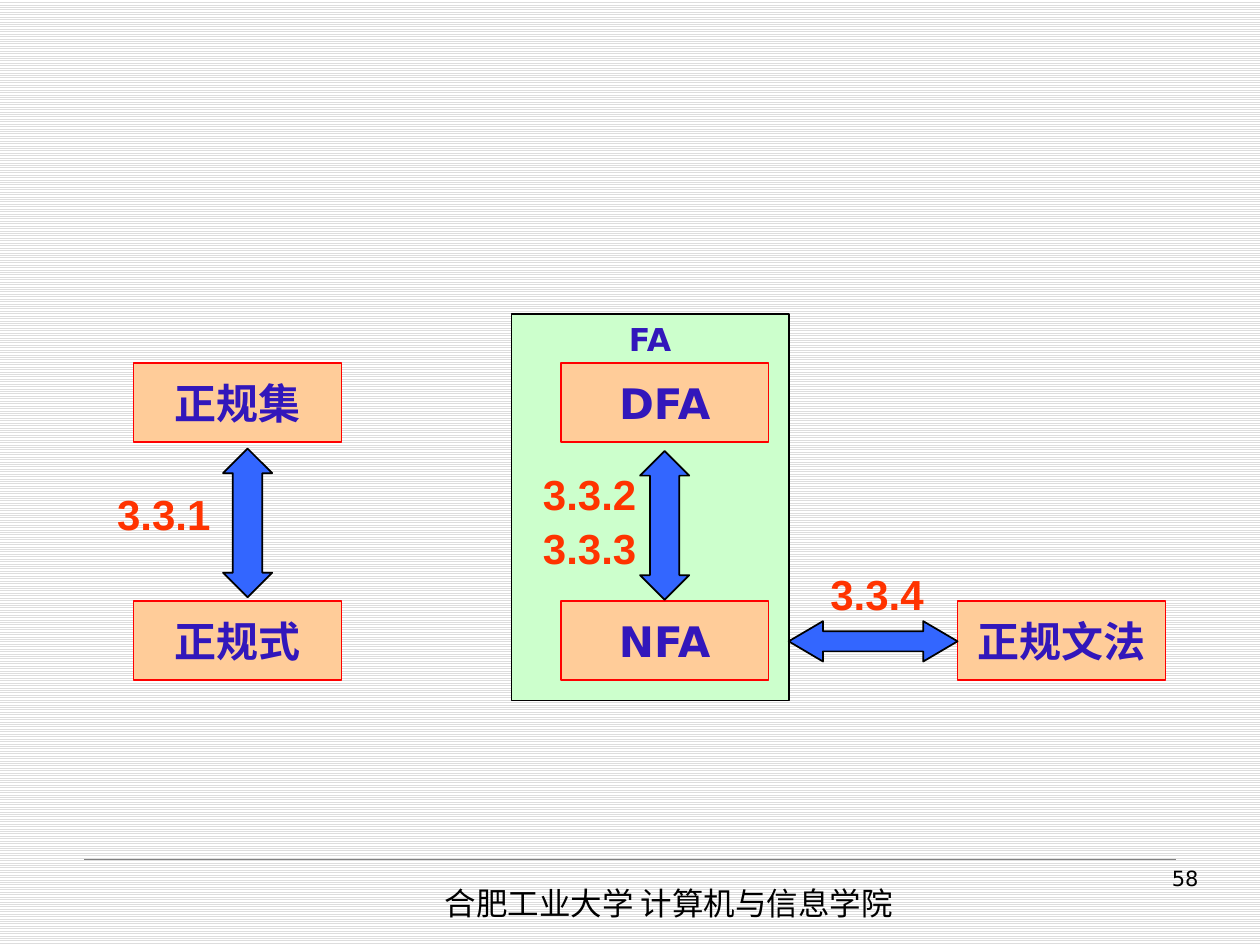
from dataclasses import dataclass

from lxml.etree import SubElement
from pptx import Presentation
from pptx.dml.color import RGBColor
from pptx.enum.dml import MSO_PATTERN
from pptx.enum.shapes import MSO_CONNECTOR, MSO_SHAPE
from pptx.enum.text import MSO_ANCHOR, PP_ALIGN
from pptx.oxml.ns import qn
from pptx.util import Inches, Pt

WIDTH, HEIGHT = Inches(10), Inches(7.5)


@dataclass(frozen=True)
class TextStyle:
    size: float
    font: str
    color: str
    bold: bool = True
    align: PP_ALIGN = PP_ALIGN.CENTER
    anchor: MSO_ANCHOR = MSO_ANCHOR.TOP
    space_before: float = 0
    wrap: bool = False


@dataclass(frozen=True)
class Theme:
    stripe: str = "DDDDDD"
    paper: str = "FFFFFF"
    rule: str = "808080"
    outline: str = "000000"
    box: str = "FFCC99"
    box_outline: str = "FF0000"
    group: str = "CCFFCC"
    arrow: str = "3366FF"
    east_asian: str = "Noto Sans CJK SC"
    box_text: TextStyle = TextStyle(24, "DejaVu Sans", "3217BB", anchor=MSO_ANCHOR.MIDDLE)
    group_text: TextStyle = TextStyle(18, "DejaVu Sans", "3217BB")
    section: TextStyle = TextStyle(24, "Arial", "FF3300", space_before=2)
    footer: TextStyle = TextStyle(18, "Noto Sans CJK SC", "000000", False,
                                  PP_ALIGN.LEFT, wrap=True)
    number: TextStyle = TextStyle(12, "DejaVu Sans", "000000", False,
                                  PP_ALIGN.RIGHT, wrap=True)


@dataclass(frozen=True)
class Area:
    """A rectangle in percent of the slide's width and height."""
    left: float
    top: float
    width: float
    height: float

    def lengths(self) -> tuple[int, int, int, int]:
        return (int(WIDTH * self.left / 100), int(HEIGHT * self.top / 100),
                int(WIDTH * self.width / 100), int(HEIGHT * self.height / 100))


@dataclass(frozen=True)
class Arrow:
    kind: MSO_SHAPE
    area: Area
    head: float


@dataclass(frozen=True)
class Label:
    lines: tuple[str, ...]
    area: Area
    style: TextStyle


THEME = Theme()

COLUMNS = (10.6, 44.5, 76)
ROWS = (38.4, 63.6)
BOX_WIDTH, BOX_HEIGHT = 16.5, 8.4
BOXES = {
    "正规集": (0, 0),
    "正规式": (0, 1),
    "DFA": (1, 0),
    "NFA": (1, 1),
    "正规文法": (2, 1),
}
ARROWS = (
    Arrow(MSO_SHAPE.LEFT_RIGHT_ARROW, Area(62.6, 65.73, 13.4, 4.27), 0.85),
    Arrow(MSO_SHAPE.UP_DOWN_ARROW, Area(17.7, 47.47, 3.9, 15.73), 0.6),
    Arrow(MSO_SHAPE.UP_DOWN_ARROW, Area(50.8, 47.73, 3.9, 15.73), 0.6),
)
LABELS = (
    Label(("合肥工业大学 计算机与信息学院",), Area(34.3, 92.93, 47.2, 5.33), THEME.footer),
    Label(("58",), Area(74.4, 90.93, 21.7, 6.93), THEME.number),
    Label(("3.3.1",), Area(8.3, 51.07, 9.4, 6.67), THEME.section),
    Label(("3.3.2", "3.3.3"), Area(42.1, 48.93, 9.4, 12.13), THEME.section),
    Label(("3.3.4",), Area(64.9, 59.47, 9.4, 6.67), THEME.section),
)


def rgb(color: str) -> RGBColor:
    return RGBColor.from_string(color)


def apply(target, **values) -> None:
    for name, value in values.items():
        setattr(target, name, value)


def write(shape, lines: tuple[str, ...], style: TextStyle) -> None:
    frame = shape.text_frame
    apply(frame, text="\n".join(lines), word_wrap=style.wrap, vertical_anchor=style.anchor)
    for paragraph in frame.paragraphs:
        apply(paragraph, alignment=style.align, space_before=Pt(style.space_before))
        font = paragraph.runs[0].font
        apply(font, name=style.font, size=Pt(style.size), bold=style.bold)
        font.color.rgb = rgb(style.color)
        properties = paragraph.runs[0]._r.get_or_add_rPr()
        SubElement(properties, qn("a:ea")).set("typeface", THEME.east_asian)


def add_figure(slide, kind: MSO_SHAPE, area: Area, fill: str, outline: str):
    shape = slide.shapes.add_shape(kind, *area.lengths())
    shape.shadow.inherit = False
    shape.fill.solid()
    shape.fill.fore_color.rgb = rgb(fill)
    shape.line.color.rgb = rgb(outline)
    shape.line.width = Pt(1)
    return shape


def add_arrow(slide, arrow: Arrow) -> None:
    shape = add_figure(slide, arrow.kind, arrow.area, THEME.arrow, THEME.outline)
    shape.adjustments[0] = 0.5
    shape.adjustments[1] = arrow.head


def add_label(slide, label: Label) -> None:
    write(slide.shapes.add_textbox(*label.area.lengths()), label.lines, label.style)


def add_rule(slide, area: Area) -> None:
    left, top, width, height = area.lengths()
    rule = slide.shapes.add_connector(MSO_CONNECTOR.STRAIGHT, left, top,
                                      left + width, top + height)
    rule.line.color.rgb = rgb(THEME.rule)
    rule.line.width = Pt(0.25)
    SubElement(rule._element.spPr, qn("a:effectLst"))


def paint_background(slide) -> None:
    fill = slide.background.fill
    fill.patterned()
    fill.pattern = MSO_PATTERN.LIGHT_HORIZONTAL
    fill.fore_color.rgb = rgb(THEME.stripe)
    fill.back_color.rgb = rgb(THEME.paper)


def main() -> None:
    presentation = Presentation()
    apply(presentation, slide_width=WIDTH, slide_height=HEIGHT)
    slide = presentation.slides.add_slide(presentation.slide_layouts[6])
    paint_background(slide)
    add_rule(slide, Area(6.7, 90.93, 86.6, 0))

    automata = add_figure(slide, MSO_SHAPE.RECTANGLE, Area(40.6, 33.2, 22, 40.93),
                          THEME.group, THEME.outline)
    write(automata, ("FA",), THEME.group_text)
    for name, (column, row) in BOXES.items():
        area = Area(COLUMNS[column], ROWS[row], BOX_WIDTH, BOX_HEIGHT)
        box = add_figure(slide, MSO_SHAPE.RECTANGLE, area, THEME.box, THEME.box_outline)
        write(box, (name,), THEME.box_text)
    for arrow in ARROWS:
        add_arrow(slide, arrow)
    for label in LABELS:
        add_label(slide, label)
    presentation.save("out.pptx")


if __name__ == "__main__":
    main()
